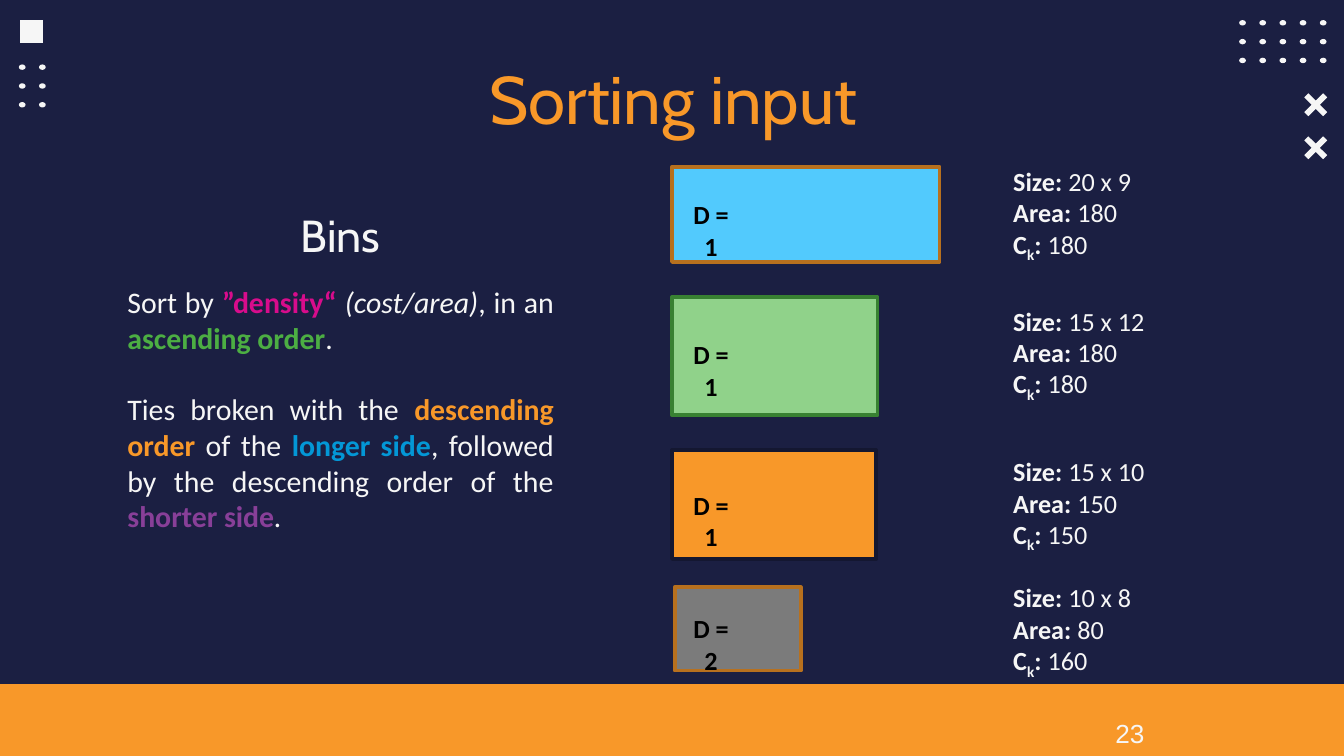
from itertools import product

from pptx import Presentation
from pptx.dml.color import RGBColor
from pptx.enum.shapes import MSO_SHAPE
from pptx.enum.text import MSO_ANCHOR, PP_ALIGN
from pptx.util import Inches, Pt

COLORS = {
    "navy": "1B1F42", "white": "F6F6F6", "orange": "F89829", "black": "000000",
    "pink": "D80C8C", "green": "4CAE43", "blue": "0397D6", "purple": "883F98",
    "sky": "52CAFD", "mint": "90D28A", "gray": "7B7B7B",
    "brown": "B7701E", "forest": "388132", "midnight": "141731",
}
WIDTH = 10
HEIGHT = WIDTH * 9 / 16


def color(name):
    return RGBColor.from_string(COLORS[name])


def add_run(paragraph, text, size=14, font="Calibri", fill="white",
            bold=False, italic=False, subscript=False):
    run = paragraph.add_run()
    run.text = text
    run.font.size = Pt(size)
    run.font.name = font
    run.font.bold = bold
    run.font.italic = italic
    run.font.color.rgb = color(fill)
    if subscript:
        run.font._element.set("baseline", "-25000")


class Deck:
    def __init__(self, width, height):
        self.presentation = Presentation()
        self.presentation.slide_width = Inches(width)
        self.presentation.slide_height = Inches(height)

    def new_slide(self, background):
        self.slide = self.presentation.slides.add_slide(self.presentation.slide_layouts[5])
        self.slide.background.fill.solid()
        self.slide.background.fill.fore_color.rgb = color(background)

    def title(self, text, left, top, width, height):
        heading = self.slide.shapes.title
        heading.left, heading.top = Inches(left), Inches(top)
        heading.width, heading.height = Inches(width), Inches(height)
        heading.text_frame.vertical_anchor = MSO_ANCHOR.MIDDLE
        paragraph = heading.text_frame.paragraphs[0]
        paragraph.alignment = PP_ALIGN.CENTER
        add_run(paragraph, text, size=36, font="Cabin", fill="orange")

    def text(self, paragraphs, left, top, width, height,
             align=PP_ALIGN.LEFT, space_before=0, **style):
        frame = self.slide.shapes.add_textbox(
            Inches(left), Inches(top), Inches(width), Inches(height)).text_frame
        frame.word_wrap = True
        for index, runs in enumerate(paragraphs):
            paragraph = frame.add_paragraph() if index else frame.paragraphs[0]
            paragraph.alignment = align
            if index and space_before:
                paragraph.space_before = Pt(space_before)
            for words, extra in runs:
                add_run(paragraph, words, **{**style, **extra})

    def paint(self, shape, fill, line=None):
        shape.shadow.inherit = False
        shape.fill.solid()
        shape.fill.fore_color.rgb = color(fill)
        if line:
            shape.line.color.rgb = color(line)
            shape.line.width = Pt(2)
        else:
            shape.line.fill.background()

    def shape(self, kind, left, top, width, height, fill, line=None):
        self.paint(self.slide.shapes.add_shape(
            kind, Inches(left), Inches(top), Inches(width), Inches(height)), fill, line)

    def dots(self, left, top, columns, rows):
        for column, row in product(range(columns), range(rows)):
            self.shape(MSO_SHAPE.OVAL, left + 0.15 * column, top + 0.14 * row,
                       0.05, 0.04, "white")

    def cross(self, center_x, center_y, reach=0.085, arm=0.03):
        inner = reach - arm
        outline = [(0, -arm), (inner, -reach), (reach, -inner), (arm, 0),
                   (reach, inner), (inner, reach), (0, arm), (-inner, reach),
                   (-reach, inner), (-arm, 0), (-reach, -inner), (-inner, -reach)]
        points = [(Inches(center_x + x), Inches(center_y + y)) for x, y in outline]
        builder = self.slide.shapes.build_freeform(*points[0])
        builder.add_line_segments(points[1:])
        self.paint(builder.convert_to_shape(), "white")

    def bin(self, left, top, width, height, fill, line, label, label_top):
        self.shape(MSO_SHAPE.RECTANGLE, left, top, width, height, fill, line)
        self.text([[(label, {})]], 5, label_top, 0.58, 0.34,
                  align=PP_ALIGN.CENTER, fill="black", bold=True)

    def facts(self, top, size, area, cost):
        bold = {"bold": True}
        self.text([
            [("Size: ", bold), (size, {})],
            [("Area: ", bold), (area, {})],
            [("C", bold), ("k", {"bold": True, "subscript": True}),
             (": ", bold), (cost, {})],
        ], 7.44, top, 1.38, 0.81)

    def save(self):
        self.presentation.save("out.pptx")


def accent(fill):
    return {"fill": fill, "bold": True}


SORTING_RULES = [
    [("Sort by ", {}), ("”density“ ", accent("pink")), ("(cost/area)", {"italic": True}),
     (", in an ", {}), ("ascending order", accent("green")), (".", {})],
    [("Ties broken with the ", {}), ("descending order ", accent("orange")),
     ("of the ", {}), ("longer side", accent("blue")),
     (", followed by the descending order of the ", {}),
     ("shorter side", accent("purple")), (".", {"italic": True})],
]

BINS = [
    ((5, 1.24, 1.99, 0.71, "sky", "brown", "D = 1", 1.43), (1.18, "20 x 9", "180", "180")),
    ((5, 2.21, 1.53, 0.88, "mint", "forest", "D = 1", 2.47), (2.22, "15 x 12", "180", "180")),
    ((5, 3.35, 1.52, 0.81, "orange", "midnight", "D = 1", 3.59), (3.34, "15 x 10", "150", "150")),
    ((5.02, 4.37, 0.94, 0.62, "gray", "brown", "D = 2", 4.51), (4.28, "10 x 8", "80", "160")),
]


def main():
    deck = Deck(WIDTH, HEIGHT)
    deck.new_slide("navy")
    for center_y in (0.78, 1.1):
        deck.cross(9.79, center_y)
    deck.dots(9.22, 0.15, columns=5, rows=3)
    deck.dots(0.14, 0.48, columns=2, rows=3)
    deck.shape(MSO_SHAPE.RECTANGLE, 0.15, 0.15, 0.17, 0.17, "white")
    deck.shape(MSO_SHAPE.RECTANGLE, 0, 5.09, WIDTH, HEIGHT - 5.09, "orange")

    deck.title("Sorting input", 0.79, 0.41, 8.44, 0.63)
    deck.text([[("Bins", {})]], 1.57, 1.5, 1.93, 0.5,
              align=PP_ALIGN.CENTER, size=24, font="Cabin")
    deck.text(SORTING_RULES, 0.85, 2.06, 3.37, 1.99,
              align=PP_ALIGN.JUSTIFY, space_before=19, size=16)
    deck.text([[("23", {})]], 8.2, 5.29, 1.72, 0.34, font="Arial")

    for box, facts in BINS:
        deck.bin(*box)
        deck.facts(*facts)
    deck.save()


if __name__ == "__main__":
    main()
